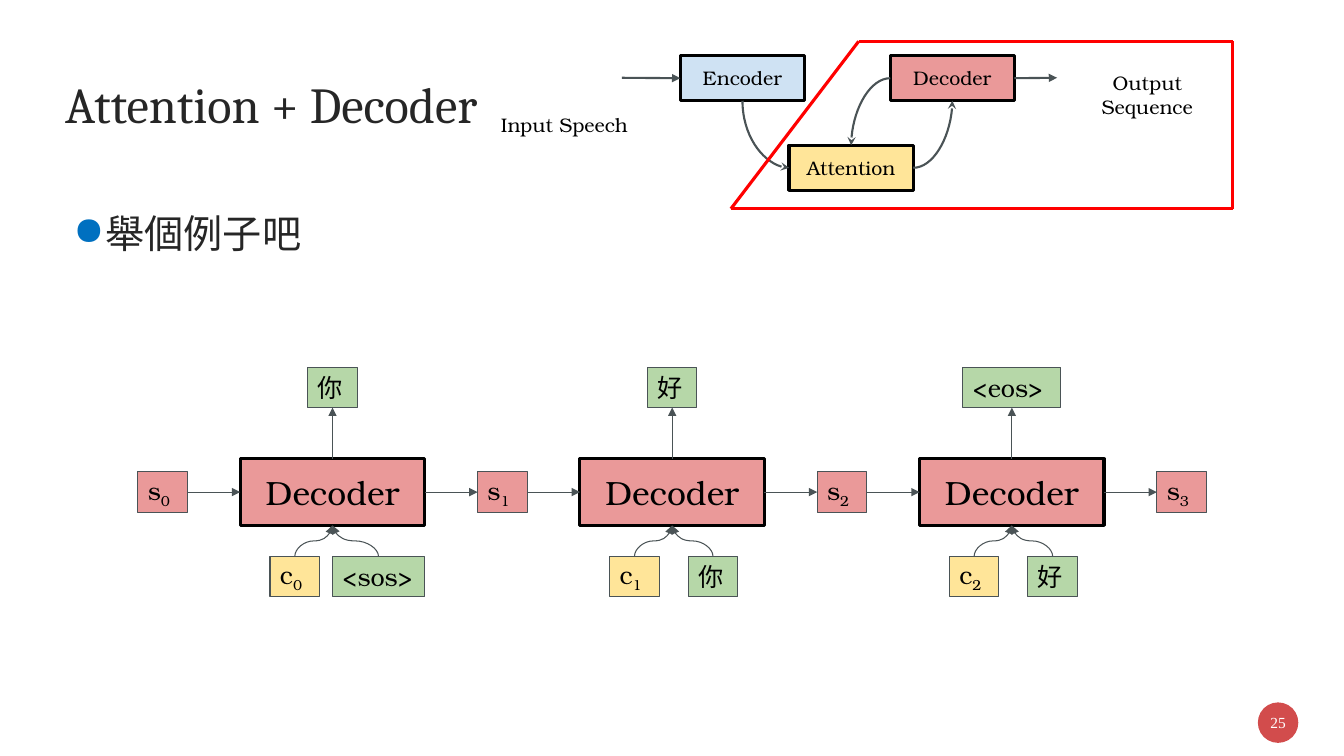
from dataclasses import dataclass

from lxml import etree
from pptx import Presentation, util as u
from pptx.dml.color import RGBColor
from pptx.enum import shapes, text
from pptx.oxml.ns import qn


@dataclass(frozen=True)
class Theme:
    black: str = "000000"
    white: str = "FFFFFF"
    ink: str = "262626"
    arrow: str = "4A5356"
    red: str = "FF0000"
    badge: str = "C00000"
    bullet: str = "0070C0"
    blue: str = "CFE2F3"
    yellow: str = "FFE599"
    pink: str = "EA9999"
    green: str = "B6D7A8"
    body_font: str = "TeX Gyre Bonum"
    title_font: str = "Cambria"
    number_font: str = "Times New Roman"
    title: int = 36
    body: int = 28
    large: int = 24
    token: int = 18
    small: int = 14
    number: int = 11
    thin: float = 0.75
    medium: float = 1.5
    thick: float = 2.25


THEME = Theme()
CENTER, LEFT = text.PP_ALIGN.CENTER, text.PP_ALIGN.LEFT
MIDDLE, TOP = text.MSO_ANCHOR.MIDDLE, text.MSO_ANCHOR.TOP


def write(frame, words, sub="", size=THEME.token, font=THEME.body_font, color=THEME.black,
          align=LEFT, anchor=MIDDLE, inset=(0.25, 0.25)):
    """Put one paragraph, with an optional subscript, into a text frame."""
    frame.word_wrap = True
    frame.vertical_anchor = anchor
    frame.margin_left = frame.margin_right = u.Cm(inset[0])
    frame.margin_top = frame.margin_bottom = u.Cm(inset[1])
    para = frame.paragraphs[0]
    para.alignment = align
    for part, baseline in ((words, 0), (sub, -25000)):
        if part:
            span = para.add_run()
            span.text = part
            span.font.size, span.font.name = u.Pt(size), font
            span.font.color.rgb = RGBColor.from_string(color)
            if baseline:
                span.font._element.set("baseline", str(baseline))
    return para


class Canvas:
    """Holds the theme and the slide; all lengths are centimetres."""

    def __init__(self, slide, theme):
        self.slide, self.theme = slide, theme

    def label(self, left, top, width, height, words, **style):
        box = self.slide.shapes.add_textbox(u.Cm(left), u.Cm(top), u.Cm(width), u.Cm(height))
        return write(box.text_frame, words, **style)

    def node(self, x, y, width, height, words, fill, line=None, weight=THEME.thin,
             kind=shapes.MSO_SHAPE.RECTANGLE, **style):
        """Draw a filled shape centred on (x, y)."""
        shape = self.slide.shapes.add_shape(
            kind, u.Cm(x - width / 2), u.Cm(y - height / 2), u.Cm(width), u.Cm(height))
        shape.shadow.inherit = False
        shape.fill.solid()
        shape.fill.fore_color.rgb = RGBColor.from_string(fill)
        if line:
            shape.line.color.rgb = RGBColor.from_string(line)
            shape.line.width = u.Pt(weight)
        else:
            shape.line.fill.background()
        write(shape.text_frame, words, **style)
        return shape

    def line(self, start, end, color=THEME.arrow, weight=THEME.thin, head=None, tail=None,
             kind=shapes.MSO_CONNECTOR.STRAIGHT):
        link = self.slide.shapes.add_connector(kind, *(u.Cm(v) for v in (*start, *end)))
        link.line.color.rgb = RGBColor.from_string(color)
        link.line.width = u.Pt(weight)
        for tag, arrow in (("a:headEnd", head), ("a:tailEnd", tail)):
            if arrow:
                etree.SubElement(link.line._get_or_add_ln(), qn(tag), type=arrow)
        etree.SubElement(link._element.spPr, qn("a:effectLst"))
        return link

    def curve(self, start, end, bends=3, upright=True, **style):
        """Draw a curve; an upright one leaves its start vertically."""
        turn = 0
        if upright:
            # The frame is stored unrotated, then turned about its centre
            turn = 1 if end[0] < start[0] else -1
            x, y = (start[0] + end[0]) / 2, (start[1] + end[1]) / 2
            start, end = ((x + turn * (py - y), y - turn * (px - x)) for px, py in (start, end))
        link = self.line(start, end, kind=shapes.MSO_CONNECTOR.CURVE, **style)
        properties = link._element.spPr
        properties.find(qn("a:prstGeom")).set("prst", f"curvedConnector{bends}")
        if turn:
            properties.find(qn("a:xfrm")).set("rot", str(turn % 4 * 5400000))


def add_heading(canvas):
    theme = canvas.theme
    canvas.node(16.94, 2.69, 31.6, 2.74, "Attention + Decoder", theme.white, size=theme.title,
                font=theme.title_font, color=theme.ink, inset=(0.5, 0.5)).text_frame \
        .paragraphs[0].line_spacing = 0.9
    # Bulleted body line
    para = canvas.label(1.14, 4.55, 31.6, 7.37, "舉個例子吧", size=theme.body,
                        color=theme.ink, anchor=TOP, inset=(0.25, 0.13))
    para.line_spacing, para.space_before = 1.5, u.Pt(10)
    properties = para._p.get_or_add_pPr()
    properties.set("marL", str(u.Cm(1.27)))
    properties.set("indent", str(u.Cm(-0.81)))
    bullet_color = etree.SubElement(properties, qn("a:buClr"))
    etree.SubElement(bullet_color, qn("a:srgbClr"), val=theme.bullet)
    etree.SubElement(properties, qn("a:buChar"), char="●")
    # Slide number badge
    badge = canvas.node(32.21, 18.21, 1.02, 1.02, "25", theme.badge, kind=shapes.MSO_SHAPE.OVAL,
                        size=theme.number, font=theme.number_font, color=theme.white,
                        align=CENTER, inset=(0.05, 0.13))
    tint = badge.fill._xPr.find(qn("a:solidFill"))[0]
    etree.SubElement(tint, qn("a:alpha"), val="70000")


def add_overview(canvas):
    theme = canvas.theme
    width, height = 3.13, 1.14
    encoder, attention, decoder = (18.71, 1.97), (21.45, 4.23), (24.0, 1.97)
    for center, words, fill in ((encoder, "Encoder", theme.blue),
                                (attention, "Attention", theme.yellow),
                                (decoder, "Decoder", theme.pink)):
        canvas.node(*center, width, height, words, fill, theme.black, theme.thick,
                    size=theme.small, align=CENTER)
    for left, top, span, words in ((12.22, 2.59, 4.01, "Input Speech"),
                                   (26.64, 1.55, 4.55, "Output Sequence")):
        canvas.label(left, top, span, 0.84, words, size=theme.small, align=CENTER, anchor=TOP)

    # Links between the three modules
    half, rise = width / 2, height / 2
    top_of_attention = (attention[0], attention[1] - rise)
    canvas.curve((encoder[0], encoder[1] + rise), (attention[0] - half, attention[1]),
                 bends=2, weight=theme.medium, tail="stealth")
    canvas.curve(top_of_attention, (decoder[0] - half, decoder[1]),
                 bends=2, weight=theme.medium, head="stealth")
    canvas.curve((attention[0] + half, attention[1]), (decoder[0], decoder[1] + rise),
                 bends=2, upright=False, weight=theme.medium, tail="stealth")
    for start, end in (((15.67, 1.96), (encoder[0] - half, encoder[1])),
                       ((decoder[0] + half, decoder[1]), (26.64, 1.96))):
        canvas.line(start, end, weight=theme.medium, tail="triangle")

    # Red outline around attention and decoder
    corners = [(21.64, 1.04), (31.07, 1.04), (31.07, 5.26), (18.42, 5.26)]
    for start, end in zip(corners, corners[1:] + corners[:1]):
        canvas.line(start, end, theme.red, theme.thick)


def add_unrolled_decoder(canvas):
    theme = canvas.theme
    pitch, first_state, first_decoder = 8.56, 4.1, 8.38
    token_width, token_height = 1.25, 1.02
    width, height = 4.65, 1.68
    output_y, state_y, input_y = 9.76, 12.4, 14.53
    decoder_top, decoder_bottom = state_y - height / 2, state_y + height / 2
    input_top = input_y - token_height / 2

    def token(x, y, words, fill, sub="", wide=token_width):
        canvas.node(x, y, wide, token_height, words, fill, theme.arrow, sub=sub)

    # Hidden states
    for index in range(4):
        token(first_state + index * pitch, state_y, "s", theme.pink, str(index))

    # One decoder step per output word: word, width, offset from the decoder's centre
    steps = [(("<sos>", 2.32, 1.16), ("你", token_width)),
             (("你", token_width, 1.03), ("好", token_width)),
             (("好", token_width, 1.03), ("<eos>", 2.47))]
    for index, ((word, word_width, offset), (output, output_width)) in enumerate(steps):
        x = first_decoder + index * pitch
        state_x = first_state + index * pitch
        canvas.node(x, state_y, width, height, "Decoder", theme.pink, theme.black, theme.thick,
                    size=theme.large, align=CENTER)
        token(x - 0.95, input_y, "c", theme.yellow, str(index))
        token(x + offset, input_y, word, theme.green, wide=word_width)
        token(x, output_y, output, theme.green, wide=output_width)
        for source in (x - 0.95, x + offset):
            canvas.curve((source, input_top), (x, decoder_bottom), tail="triangle")
        for start, end in (
                ((state_x + token_width / 2, state_y), (x - width / 2, state_y)),
                ((x + width / 2, state_y), (state_x + pitch - token_width / 2, state_y)),
                ((x, decoder_top), (x, output_y + token_height / 2))):
            canvas.line(start, end, tail="triangle")


def main():
    deck = Presentation()
    deck.slide_width, deck.slide_height = u.Cm(33.87), u.Cm(19.05)
    page = deck.slides.add_slide(deck.slide_layouts[6])
    canvas = Canvas(page, THEME)
    add_heading(canvas)
    add_overview(canvas)
    add_unrolled_decoder(canvas)
    deck.save("out.pptx")


if __name__ == "__main__":
    main()
